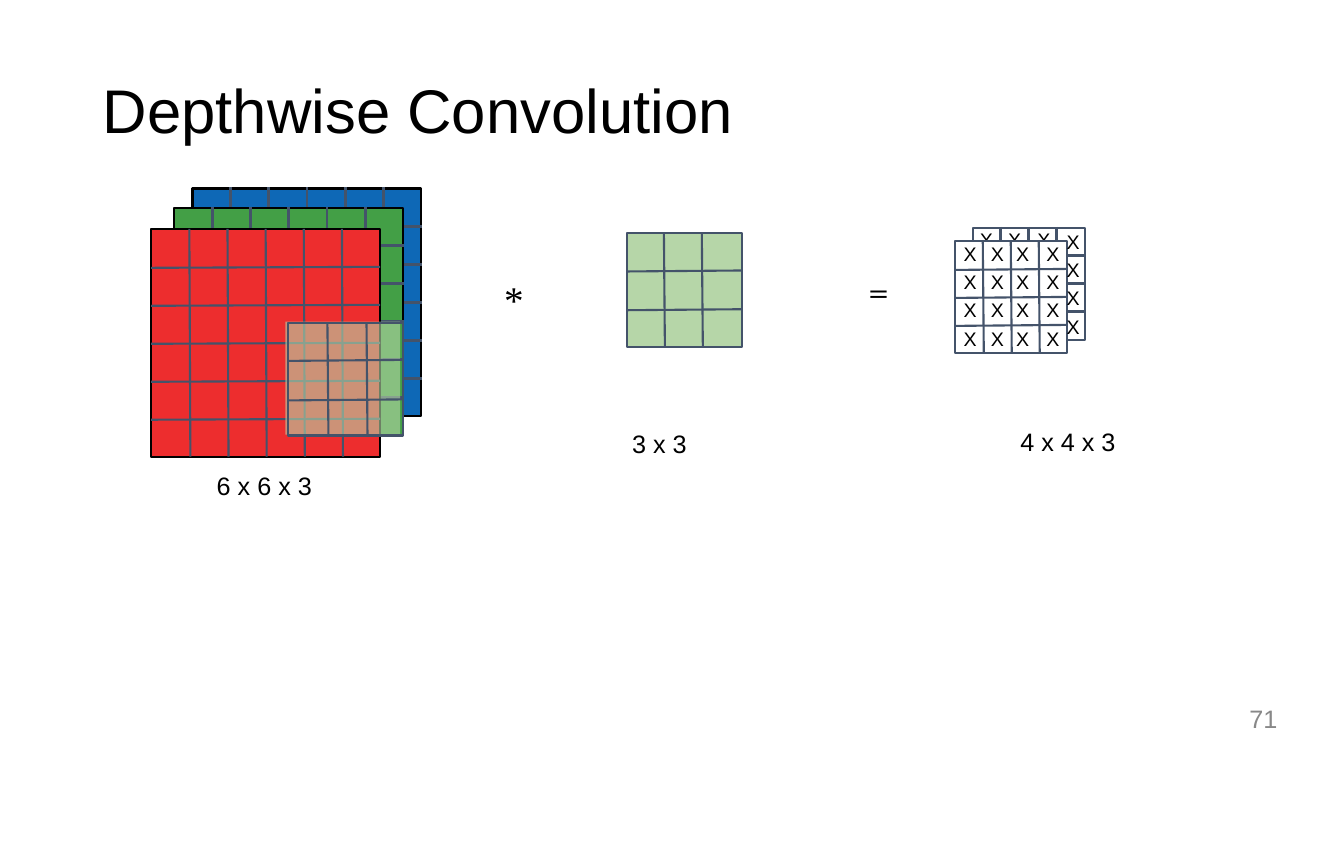
from pptx import Presentation
from pptx.dml.color import RGBColor
from pptx.enum.shapes import MSO_CONNECTOR, MSO_SHAPE
from pptx.enum.text import PP_ALIGN
from pptx.oxml.ns import qn
from pptx.util import Inches, Pt
from lxml.etree import SubElement

WIDE, HIGH = 13.33, 8.5
INK, GRID = "000000", "44536A"
BLUE, GREEN, RED, PALE, WHITE = "0E68B6", "439F46", "ED2D2E", "B6D6A8", "FFFFFF"


def color(code):
    return RGBColor.from_string(code)


def text(slide, box, words, size, font="Arial", ink=INK, inset=(0.01, 0.01),
         align=PP_ALIGN.LEFT):
    shape = slide.shapes.add_textbox(*map(Inches, box))
    frame = shape.text_frame
    frame.word_wrap = True
    frame.margin_left, frame.margin_top = map(Inches, inset)
    frame.margin_right = Inches(inset[0] if inset[0] > 0.05 else 0)
    frame.margin_bottom = 0
    frame.text = words
    para = frame.paragraphs[0]
    para.alignment = align
    run = para.runs[0].font
    run.size, run.name = Pt(size), font
    run.color.rgb = color(ink)


def panel(slide, box, fill=None, edge=None, alpha=100):
    shape = slide.shapes.add_shape(MSO_SHAPE.RECTANGLE, *map(Inches, box))
    shape.shadow.inherit = False
    if fill:
        shape.fill.solid()
        shape.fill.fore_color.rgb = color(fill)
        if alpha < 100:
            tone = shape.fill._xPr.find(qn("a:solidFill"))[0]
            SubElement(tone, qn("a:alpha"), val=str(alpha * 1000))
    else:
        shape.fill.background()
    if edge:
        shape.line.color.rgb = color(edge)
        shape.line.width = Pt(1.5)
    else:
        shape.line.fill.background()


def rule(slide, start, end):
    line = slide.shapes.add_connector(
        MSO_CONNECTOR.STRAIGHT, *map(Inches, start + end))
    line.line.color.rgb = color(GRID)
    line.line.width = Pt(1.5)
    SubElement(line._element.spPr, qn("a:effectLst"))


def ticks(slide, pairs):
    """Draw short parallel strokes as one outline."""
    pen = slide.shapes.build_freeform(*map(Inches, pairs[0][0]))
    for i, (start, end) in enumerate(pairs):
        if i:
            pen.move_to(*map(Inches, start))
        pen.add_line_segments([tuple(map(Inches, end))], close=False)
    shape = pen.convert_to_shape()
    shape.shadow.inherit = False
    shape.fill.background()
    shape.line.color.rgb = color(GRID)
    shape.line.width = Pt(2.1)


def sheet(slide, box, cols, rows, fill, edge=GRID):
    """Draw a grid whose inner rules stand at the given shares of the box."""
    left, top, wide, high = box
    panel(slide, box, fill, edge)
    for share in cols:
        x = left + wide * share
        rule(slide, (x, top), (x + 0.01, top + high))
    for share in rows:
        y = top + high * share
        rule(slide, (left, y + 0.01), (left + wide, y))


def rim(slide, box, shares, strip, bunch, fill=None, edge=GRID):
    """Draw a covered grid, with rules only in its top and right margins."""
    left, top, wide, high = box
    reach, depth = strip
    right = left + wide
    panel(slide, box, fill, edge)
    tops = [((left + wide * s, top - 0.01), (left + wide * s, top + depth))
            for s in shares]
    for i in range(0, len(tops), bunch):
        ticks(slide, tops[i:i + bunch])
    ticks(slide, [((right - reach, top + high * s), (right + 0.01, top + high * s))
                  for s in shares])


def even(cells):
    return [i / cells for i in range(1, cells)]


def marks(slide, left, top, cols, rows):
    """Write an X at every crossing of the column and row offsets."""
    for dy in rows:
        for dx in cols:
            text(slide, (left + dx, top + dy, 0.29, 0.34), "X", 14,
                 inset=(0.1, 0.05))


def volume(slide, left, top):
    """Draw the three input channels with the kernel window on the front."""
    side, tall = 2.27, 2.26
    for dx, dy, strip, fill in [(0.41, 0, (0.18, 0.19), BLUE),
                                (0.23, 0.19, (0.23, 0.21), GREEN)]:
        rim(slide, (left + dx, top + dy, side, tall), even(6), strip, 2, fill, INK)
    sheet(slide, (left, top + 0.4, side, tall), even(6), even(6), RED, INK)
    panel(slide, (left + 1.33, top + 1.32, 1.14, 1.12), PALE, alpha=60)
    sheet(slide, (left + 1.36, top + 1.33, 1.14, 1.12), (0.34, 0.68),
          (0.33, 0.68), None)


def result(slide, left, top):
    """Draw the two stacked output sheets."""
    side, shift, drop = 1.11, 0.18, 0.13
    rows = [-0.03 + 0.28 * i for i in range(4)]
    rear = left + shift
    marks(slide, rear, top, (-0.03, 0.25, 0.54), (-0.05,))
    rim(slide, (rear, top, side, side), even(4), (shift, drop), 3)
    sheet(slide, (left, top + drop, side, side), even(4), even(4), WHITE)
    marks(slide, left, top + drop, (-0.01, 0.26, 0.51, 0.81),
          [row - 0.01 for row in rows])
    marks(slide, rear, top, (0.83,), rows)


def labels(slide):
    text(slide, (1.01, 0.7, 6.63, 0.76), "Depthwise Convolution", 44)
    for x, y, words in [(2.14, 4.66, "6 x 6 x 3"), (6.26, 4.24, "3 x 3"),
                        (10.11, 4.22, "4 x 4 x 3")]:
        text(slide, (x, y, 0.97, 0.33), words, 18)
    text(slide, (4.99, 2.72, 0.22, 0.49), "*", 28, "Times New Roman")
    text(slide, (8.6, 2.64, 0.26, 0.48), "=", 27, "Cambria")
    text(slide, (9.6, 6.98, 3.07, 0.38), "71", 18, ink="888888",
         inset=(0, 0), align=PP_ALIGN.RIGHT)


def main():
    deck = Presentation()
    deck.slide_width, deck.slide_height = Inches(WIDE), Inches(HIGH)
    slide = deck.slides.add_slide(deck.slide_layouts[6])
    volume(slide, 1.5, 1.87)
    sheet(slide, (6.22, 2.31, 1.14, 1.13), (0.32, 0.65), (0.33, 0.67), PALE)
    result(slide, 9.47, 2.26)
    labels(slide)
    deck.save("out.pptx")


if __name__ == "__main__":
    main()
